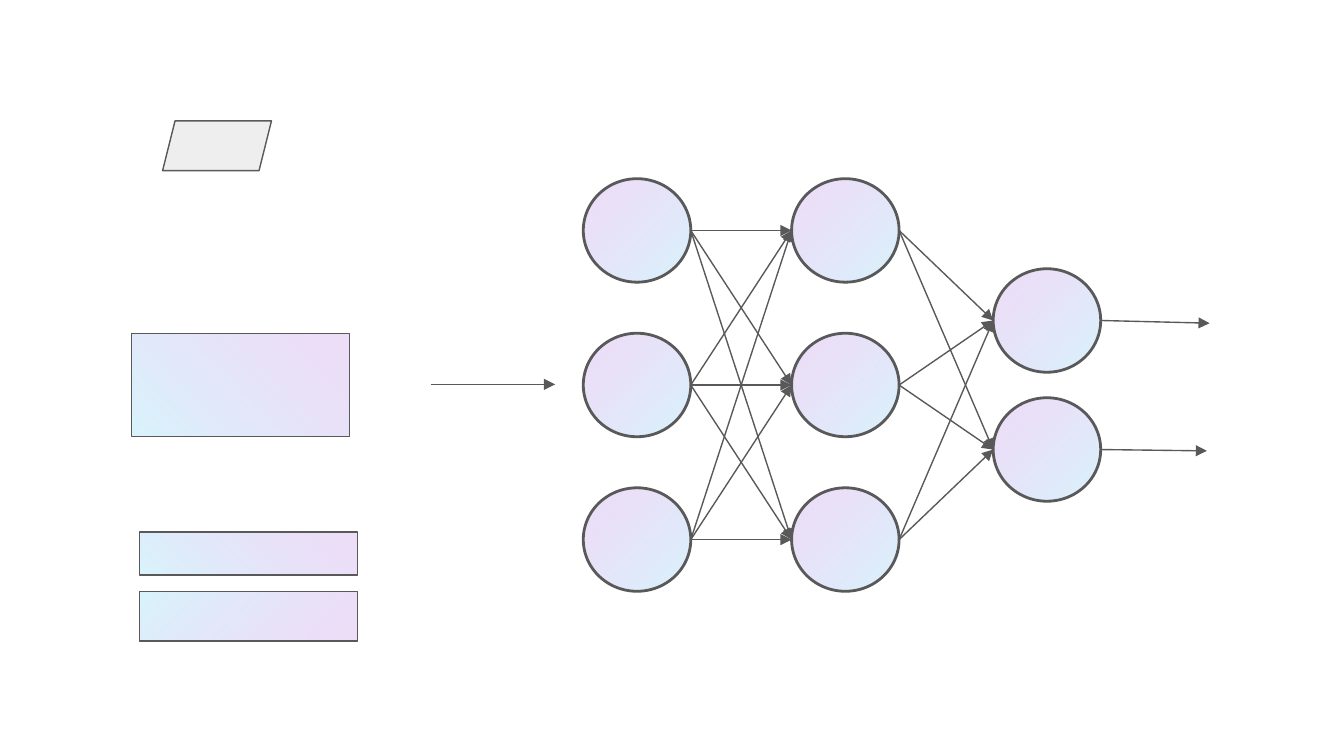
from dataclasses import dataclass
from itertools import product

from lxml.etree import SubElement
from pptx import Presentation
from pptx.dml.color import RGBColor
from pptx.enum.shapes import MSO_CONNECTOR as Link, MSO_SHAPE as Kind
from pptx.oxml.ns import qn
from pptx.util import Inches, Pt


@dataclass(frozen=True)
class Theme:
    """Colours and line widths of the slide."""
    ink: str = "595959"
    pale: str = "EEEEEE"
    gradient: tuple = (("69D4F4", 26), ("9F39D5", 17))
    angle: int = 135
    thin: float = 0.75
    thick: float = 1.5


THEME = Theme()


def set_outline(item, width):
    """Give a shape or connector the ink outline."""
    item.line.color.rgb = RGBColor.from_string(THEME.ink)
    item.line.width = Pt(width)


def add_outlined(page, kind, box, width):
    """Add an outlined shape without shadow."""
    shape = page.shapes.add_shape(kind, *map(Inches, box))
    shape.shadow.inherit = False
    set_outline(shape, width)
    return shape


def add_tinted(page, kind, box, width):
    """Add a shape filled with the translucent gradient."""
    shape = add_outlined(page, kind, box, width)
    shape.fill.gradient()
    shape.fill.gradient_angle = THEME.angle
    for position, stop in enumerate(shape.fill.gradient_stops):
        stop.position = position
        stop.color.rgb = RGBColor.from_string(THEME.gradient[position][0])
    gradient = shape._element.spPr.find(qn("a:gradFill"))
    for tint, (_, opacity) in zip(gradient.iter(qn("a:srgbClr")), THEME.gradient):
        SubElement(tint, qn("a:alpha")).set("val", str(opacity * 1000))
    return shape


def add_arrow(page, start, end):
    """Add a thin arrow between two points."""
    points = map(Inches, (*start, *end))
    arrow = page.shapes.add_connector(Link.STRAIGHT, *points)
    set_outline(arrow, THEME.thin)
    SubElement(arrow.line._get_or_add_ln(), qn("a:tailEnd")).set("type", "triangle")
    SubElement(arrow._element.spPr, qn("a:effectLst"))


def add_bar(page, box, mirrored=False):
    """Add a gradient bar turned a quarter, seen at the given box."""
    left, top, width, height = box
    shift = (width - height) / 2
    bar = add_tinted(page, Kind.RECTANGLE, (left + shift, top - shift, height, width), THEME.thin)
    bar.rotation = 90
    if mirrored:
        bar._element.spPr.find(qn("a:xfrm")).set("flipH", "1")


def add_inputs(page, box):
    """Place the parallelogram, the block, the two bars and the input arrow."""
    left, top, width, height = box
    sign = add_outlined(page, Kind.PARALLELOGRAM, (left + 0.23, top, 0.81, 0.37), THEME.thin)
    sign.adjustments[0] = 0.25
    sign.fill.solid()
    sign.fill.fore_color.rgb = RGBColor.from_string(THEME.pale)
    add_bar(page, (left, top + 1.58, 1.62, 0.77))
    add_bar(page, (left + 0.06, top + 3.06, 1.62, 0.32))
    add_bar(page, (left + 0.06, top + height - 0.37, 1.62, 0.37), mirrored=True)
    middle = top + 1.96
    add_arrow(page, (left + 2.23, middle), (left + width, middle))


def add_layer(page, box, count, pitch):
    """Place a column of nodes and return their left and right middles."""
    left, top, width, height = box
    middles = [top + height / 2 + pitch * row for row in range(count)]
    for middle in middles:
        add_tinted(page, Kind.OVAL, (left, middle - height / 2, width, height), THEME.thick)
    return [[(edge, middle) for middle in middles] for edge in (left, left + width)]


def add_network(page, box):
    """Place three layers of nodes, fully linked, with the output arrows."""
    left, top, width, height = box
    columns = ((0, 3, 1.15), (1.55, 3, 1.15), (3.05, 2, 0.96))
    layers = []
    for across, count, pitch in columns:
        down = (height - 0.77 - pitch * (count - 1)) / 2
        layers.append(add_layer(page, (left + across, top + down, 0.8, 0.77), count, pitch))
    for source, target in zip(layers, layers[1:]):
        for start, end in product(source[1], target[0]):
            add_arrow(page, start, end)
    for (across, down), (trim, drop) in zip(layers[-1][1], ((0, 0.02), (0.02, 0.01))):
        add_arrow(page, (across, down), (left + width - trim, down + drop))


def main():
    """Build the slide and save it."""
    deck = Presentation()
    deck.slide_width = Inches(10)
    deck.slide_height = deck.slide_width * 9 // 16
    page = deck.slides.add_slide(deck.slide_layouts[6])
    add_inputs(page, (0.98, 0.9, 3.15, 3.87))
    add_network(page, (4.34, 1.33, 4.66, 3.07))
    deck.save("out.pptx")


if __name__ == "__main__":
    main()
